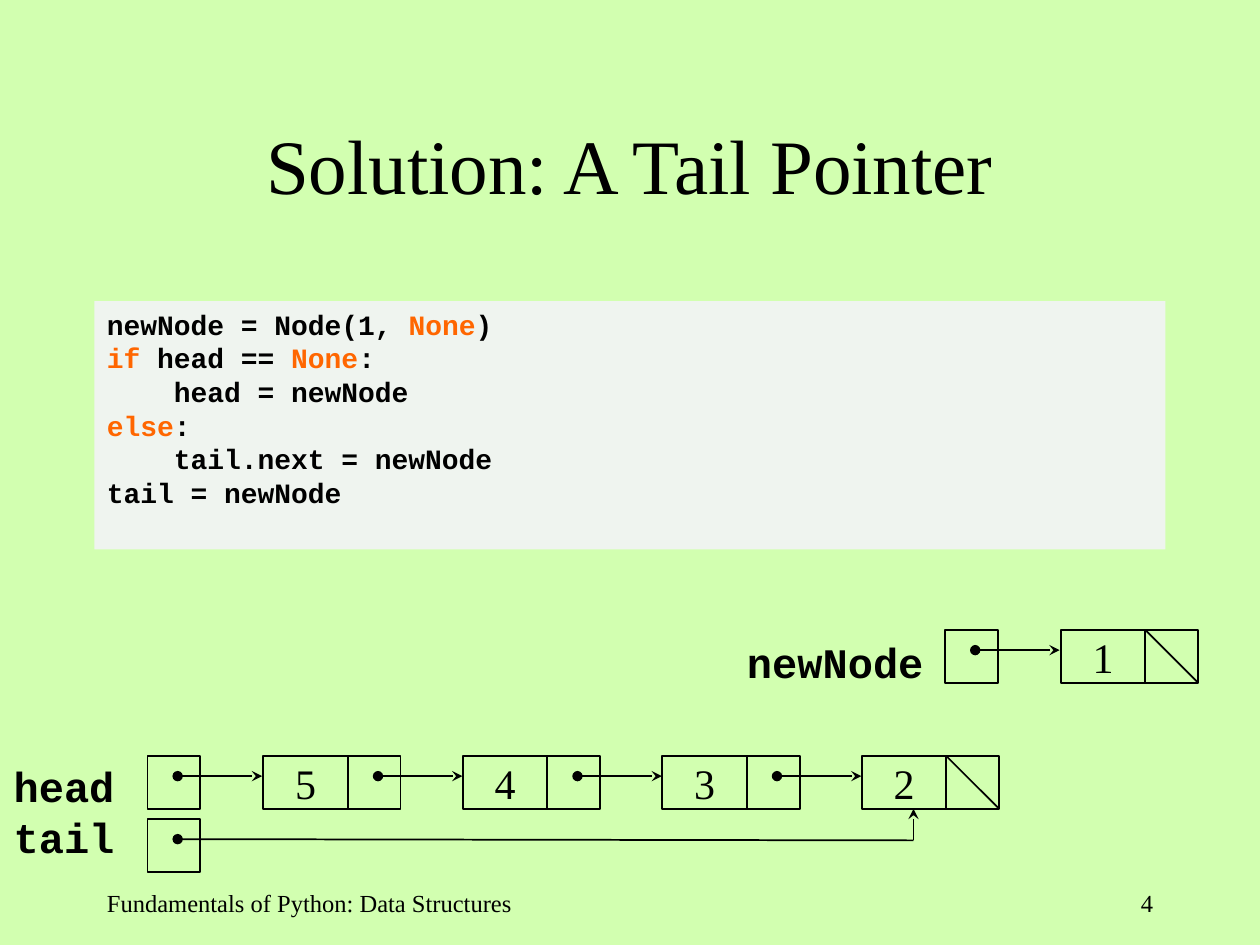
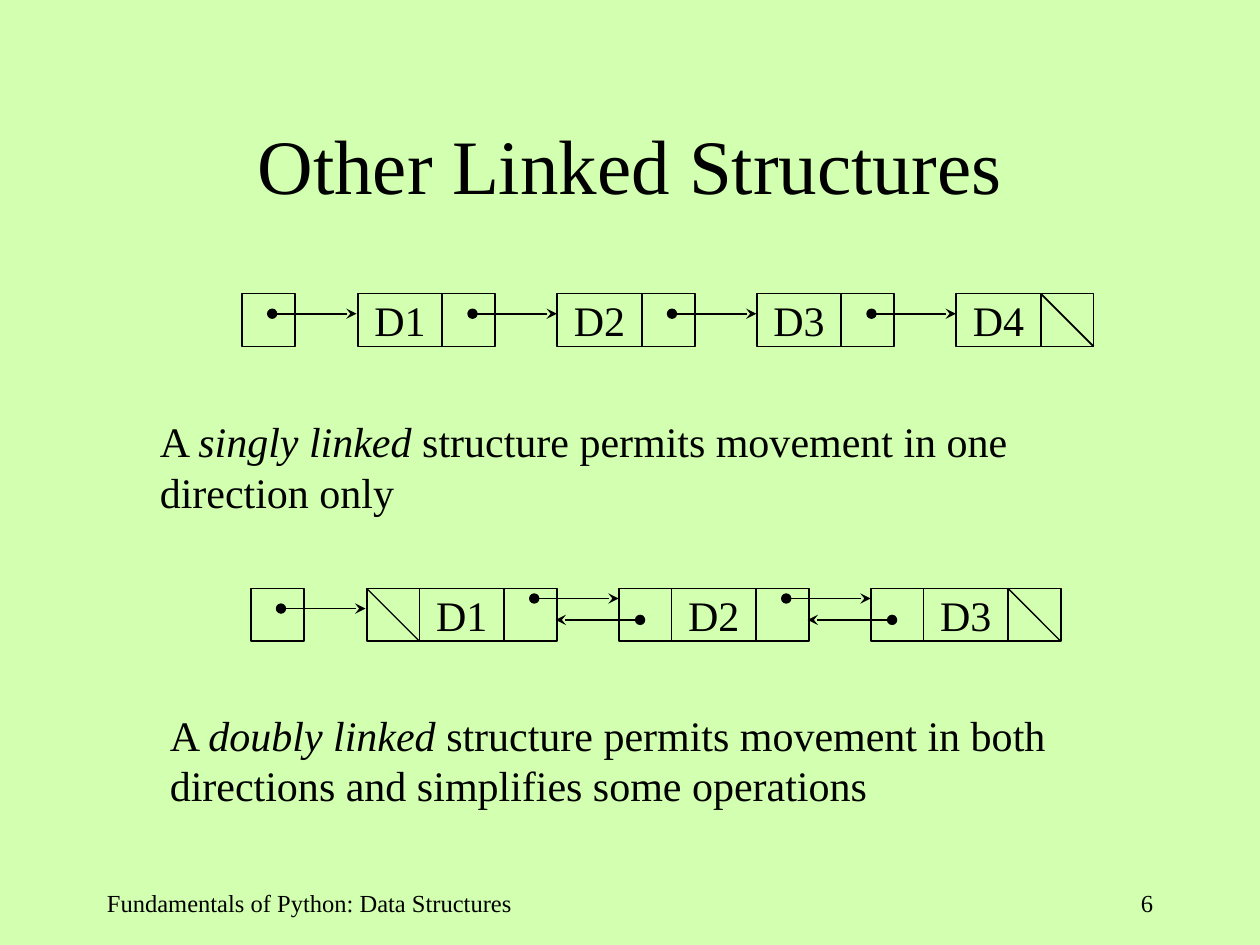
import pptx
import pptx.dml.color
import pptx.enum.shapes
import pptx.enum.text
import pptx.oxml.ns
import pptx.util
from lxml import etree

Inches = pptx.util.Inches
ALIGN = pptx.enum.text.PP_ALIGN
ANCHOR = pptx.enum.text.MSO_ANCHOR

BACKGROUND = "D2FFB0"
CODE_FILL = "EFF4EF"
KEYWORD = "FF6600"
INK = "000000"
SERIF = "Times New Roman"
MONO = "Courier New"
FOOTER = "Fundamentals of Python: Data Structures"

CELL = 0.42
DATA = 0.67
ARROW = 0.67
DOT_X, DOT_Y = 0.24, 0.16
FIRST_NODE = 0.92
SINGLE_PITCH = 4.75 / 3
DOUBLE_PITCH = 2

CODE = """newNode = Node(1, *None*)
*if* head == *None*:
    head = newNode
*else*:
    tail.next = newNode
tail = newNode"""


def color(value):
    return pptx.dml.color.RGBColor.from_string(value)


def write_text(shape, text, size=24, font=SERIF, bold=False, align=ALIGN.LEFT,
               anchor=ANCHOR.TOP, wrap=True, accent=INK, accent_italic=False):
    """Spans between asterisks take the accent format."""
    frame = shape.text_frame
    frame.word_wrap = wrap
    frame.vertical_anchor = anchor
    for index, line in enumerate(text.split("\n")):
        para = frame.paragraphs[0] if index == 0 else frame.add_paragraph()
        para.alignment = align
        for position, part in enumerate(line.split("*")):
            if not part:
                continue
            accented = position % 2 == 1
            span = para.add_run()
            span.text = part
            span.font.size = pptx.util.Pt(size)
            span.font.name = font
            span.font.bold = bold
            span.font.italic = accented and accent_italic
            span.font.color.rgb = color(accent if accented else INK)


def add_text(page, left, top, width, height, text, **text_format):
    box = page.shapes.add_textbox(Inches(left), Inches(top), Inches(width), Inches(height))
    write_text(box, text, **text_format)


def add_box(page, left, top, width, height, fill=None, line=INK):
    box = page.shapes.add_shape(pptx.enum.shapes.MSO_SHAPE.RECTANGLE,
                                Inches(left), Inches(top), Inches(width), Inches(height))
    box.shadow.inherit = False
    if fill:
        box.fill.solid()
        box.fill.fore_color.rgb = color(fill)
    else:
        box.fill.background()
    if line:
        box.line.color.rgb = color(line)
        box.line.width = pptx.util.Pt(1)
    else:
        box.line.fill.background()
    return box


def add_line(page, x1, y1, x2, y2, start=None, end=None, width=1):
    line = page.shapes.add_connector(pptx.enum.shapes.MSO_CONNECTOR.STRAIGHT,
                                     Inches(x1), Inches(y1), Inches(x2), Inches(y2))
    line.line.color.rgb = color(INK)
    line.line.width = pptx.util.Pt(width)
    outline = line.line._get_or_add_ln()
    for tag, kind in (("a:headEnd", start), ("a:tailEnd", end)):
        if kind:
            etree.SubElement(outline, pptx.oxml.ns.qn(tag), type=kind)
    etree.SubElement(line._element.spPr, pptx.oxml.ns.qn("a:effectLst"))


def add_arrow(page, x, y, length=ARROW):
    add_line(page, x, y, x + length, y, start="oval", end="stealth")


def add_cell(page, left, top):
    add_box(page, left, top, CELL, CELL)


def add_null(page, left, top, width=1):
    add_line(page, left, top, left + CELL, top + CELL, width=width)


def add_data(page, left, top, value):
    box = add_box(page, left, top, DATA, CELL)
    write_text(box, value, align=ALIGN.CENTER, anchor=ANCHOR.MIDDLE, wrap=False)


def add_pointer(page, left, top):
    add_cell(page, left, top)
    add_arrow(page, left + DOT_X, top + DOT_Y)


def add_single_chain(page, left, top, values):
    add_pointer(page, left, top)
    for index, value in enumerate(values):
        node = left + FIRST_NODE + index * SINGLE_PITCH
        add_data(page, node, top, value)
        if index < len(values) - 1:
            add_pointer(page, node + DATA, top)
        else:
            add_cell(page, node + DATA, top)
            add_null(page, node + DATA, top)


def add_double_chain(page, left, top, values):
    add_pointer(page, left, top)
    last = len(values) - 1
    for index, value in enumerate(values):
        node = left + FIRST_NODE + index * DOUBLE_PITCH
        next_cell = node + CELL + DATA
        add_cell(page, node, top)
        add_data(page, node + CELL, top, value)
        add_cell(page, next_cell, top)
        if index == 0:
            add_null(page, node, top, width=0.75)
        else:
            add_arrow(page, node + 0.17, top + 0.25, -ARROW)
        if index == last:
            add_null(page, next_cell, top, width=0.75)
        else:
            add_arrow(page, next_cell + DOT_X, top + 0.08)


def add_page(deck, title, number):
    page = deck.slides.add_slide(deck.slide_layouts[6])
    add_text(page, 0.75, 0.67, 8.5, 1.25, title, size=44,
             align=ALIGN.CENTER, anchor=ANCHOR.MIDDLE)
    add_text(page, 0.75, 7, 3.58, 0.5, FOOTER, size=14)
    add_text(page, 7.17, 7, 2.08, 0.5, number, size=14, align=ALIGN.RIGHT)
    return page


def build_tail_pointer(deck):
    page = add_page(deck, "Solution: A Tail Pointer", "4")
    code_box = add_box(page, 0.75, 2.39, 8.5, 1.97, fill=CODE_FILL, line=None)
    write_text(code_box, CODE, size=16, font=MONO, bold=True, accent=KEYWORD)

    add_text(page, 5.83, 5, 1.75, 0.5, "newNode", font=MONO, bold=True)
    add_single_chain(page, 7.5, 5, ["1"])

    add_text(page, 0.01, 5.99, 1, 0.9, "head\ntail", font=MONO, bold=True, wrap=False)
    add_single_chain(page, 1.17, 6, ["5", "4", "3", "2"])
    add_cell(page, 1.17, 6.5)
    add_line(page, 1.41, 6.66, 7.25, 6.67, start="oval")
    add_line(page, 7.25, 6.67, 7.25, 6.42, end="stealth", width=0.75)


def build_linked_structures(deck):
    page = add_page(deck, "Other Linked Structures", "6")
    add_single_chain(page, 1.92, 2.33, ["D1", "D2", "D3", "D4"])
    add_text(page, 1.17, 3.25, 7.83, 0.9,
             "A *singly linked* structure permits movement in one direction only",
             accent_italic=True)
    add_double_chain(page, 1.99, 4.67, ["D1", "D2", "D3"])
    add_text(page, 1.25, 5.58, 7.83, 0.9,
             "A *doubly linked* structure permits movement in both directions"
             " and simplifies some operations",
             accent_italic=True)


def main():
    deck = pptx.Presentation()
    deck.slide_width = Inches(10)
    deck.slide_height = Inches(7.5)
    background = deck.slide_master.background.fill
    background.solid()
    background.fore_color.rgb = color(BACKGROUND)
    build_tail_pointer(deck)
    build_linked_structures(deck)
    deck.save("out.pptx")


if __name__ == "__main__":
    main()
